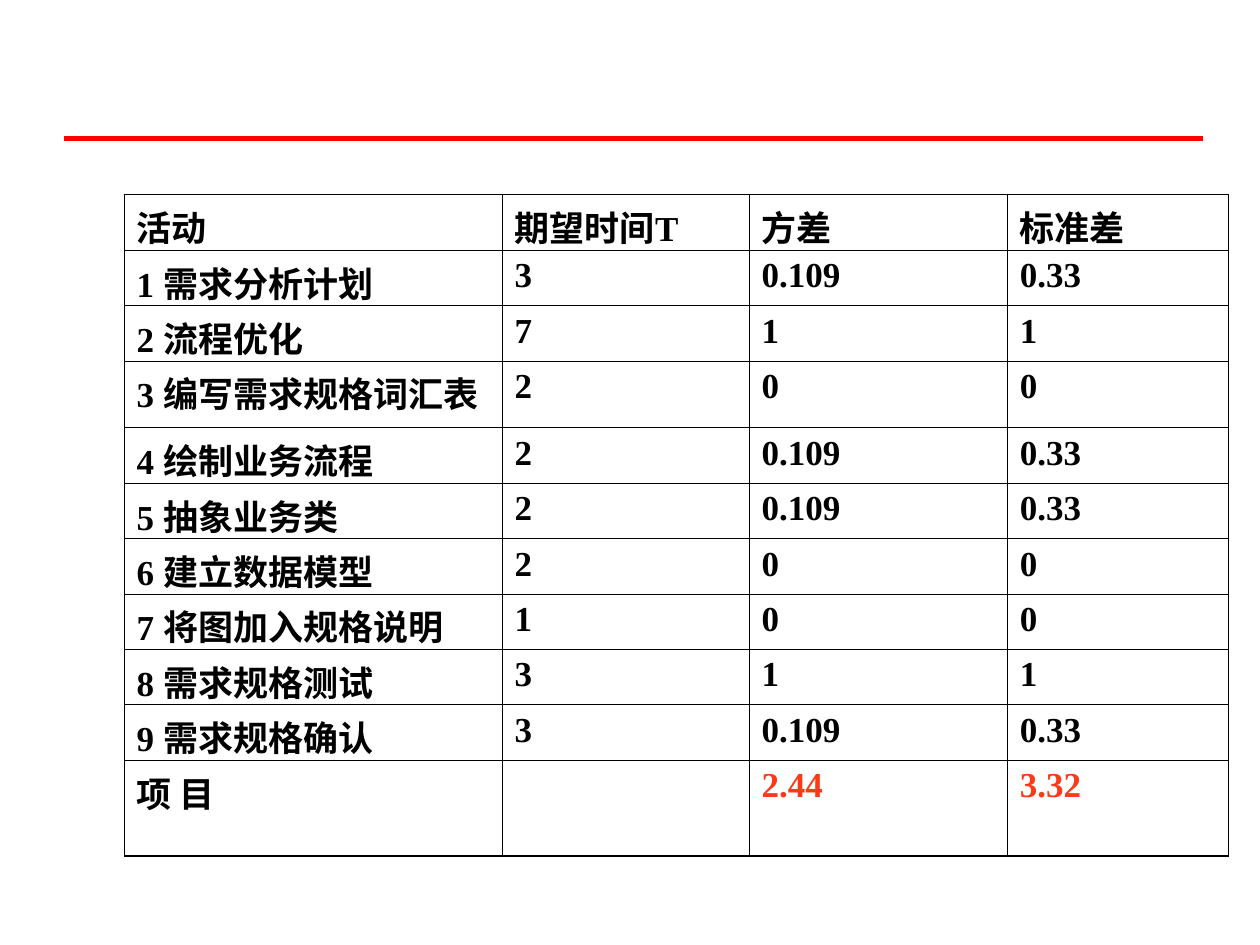
from dataclasses import dataclass
from typing import NamedTuple

from lxml.etree import SubElement
from pptx import Presentation
from pptx.dml.color import RGBColor
from pptx.enum.shapes import MSO_CONNECTOR
from pptx.oxml.ns import qn
from pptx.util import Inches, Pt


@dataclass(frozen=True)
class Theme:
    font: str = "Times New Roman"
    size: float = 20
    ink: str = "000000"
    total: str = "FC3918"
    rule: str = "FF0000"
    rule_width: float = 3
    side: float = 0.34
    inner: float = 0.45
    outer: float = 0.96
    bottom_margin: float = -0.03  # lets tall CJK lines fit the compact rows


class Activity(NamedTuple):
    name: str
    expected: str
    variance: str
    deviation: str
    height: float = 0.44


THEME = Theme()
WIDTH, HEIGHT = 10, 7.5
COLUMNS = (3, 1.96, 2.05, 1.75)
ROWS = (
    Activity("活动", "期望时间T", "方差", "标准差"),
    Activity("1 需求分析计划", "3", "0.109", "0.33"),
    Activity("2 流程优化", "7", "1", "1"),
    Activity("3 编写需求规格词汇表", "2", "0", "0", 0.53),
    Activity("4 绘制业务流程", "2", "0.109", "0.33"),
    Activity("5 抽象业务类", "2", "0.109", "0.33"),
    Activity("6 建立数据模型", "2", "0", "0"),
    Activity("7 将图加入规格说明", "1", "0", "0"),
    Activity("8 需求规格测试", "3", "1", "1"),
    Activity("9 需求规格确认", "3", "0.109", "0.33"),
    Activity("项 目", "", "2.44", "3.32", 0.76),
)


def across(percent: float) -> int:
    return Inches(percent / 100 * WIDTH)


def down(percent: float) -> int:
    return Inches(percent / 100 * HEIGHT)


def add_rule(slide, left: float, right: float, top: float) -> None:
    """Draw a horizontal rule, placed by percentages of the slide's size."""
    rule = slide.shapes.add_connector(
        MSO_CONNECTOR.STRAIGHT, across(left), down(top), across(right), down(top))
    rule.line.color.rgb = RGBColor.from_string(THEME.rule)
    rule.line.width = Pt(THEME.rule_width)
    SubElement(rule._element.spPr, qn("a:effectLst"))


def set_borders(cell, row: int, column: int) -> None:
    last_row, last_column = len(ROWS) - 1, len(COLUMNS) - 1
    widths = {
        "a:lnL": THEME.side if column == 0 else THEME.inner,
        "a:lnR": THEME.side if column == last_column else THEME.inner,
        "a:lnT": THEME.outer if row == 0 else THEME.inner,
        "a:lnB": THEME.outer if row == last_row else THEME.inner,
    }
    properties = cell._tc.get_or_add_tcPr()
    for tag, width in widths.items():
        line = SubElement(properties, qn(tag), w=str(int(Pt(width))))
        fill = SubElement(line, qn("a:solidFill"))
        SubElement(fill, qn("a:srgbClr"), val=THEME.ink)


def write_cell(cell, text: str, color: str) -> None:
    cell.margin_bottom = Inches(THEME.bottom_margin)
    paragraph = cell.text_frame.paragraphs[0]
    if text:
        paragraph.text = text
    font = paragraph.font
    font.name, font.size, font.bold = THEME.font, Pt(THEME.size), True
    font.color.rgb = RGBColor.from_string(color)


def add_activity_table(slide, left: float, top: float) -> None:
    """Place the table by percentages of the slide's size."""
    table = slide.shapes.add_table(
        len(ROWS), len(COLUMNS), across(left), down(top),
        Inches(sum(COLUMNS)), Inches(sum(row.height for row in ROWS))).table
    table.first_row = table.horz_banding = False
    for column, width in zip(table.columns, COLUMNS):
        column.width = Inches(width)
    for r, activity in enumerate(ROWS):
        table.rows[r].height = Inches(activity.height)
        for c, text in enumerate(activity[:len(COLUMNS)]):
            cell = table.cell(r, c)
            is_total = r == len(ROWS) - 1 and c > 0
            write_cell(cell, text, THEME.total if is_total else THEME.ink)
            set_borders(cell, r, c)
            cell.fill.background()


def main() -> None:
    presentation = Presentation()
    presentation.slide_width, presentation.slide_height = Inches(WIDTH), Inches(HEIGHT)
    slide = presentation.slides.add_slide(presentation.slide_layouts[6])

    # Red rule under the empty title area
    add_rule(slide, left=5.1, right=95.5, top=14.65)

    # Activity estimates with the project totals
    add_activity_table(slide, left=9.85, top=20.6)

    presentation.save("out.pptx")


if __name__ == "__main__":
    main()
